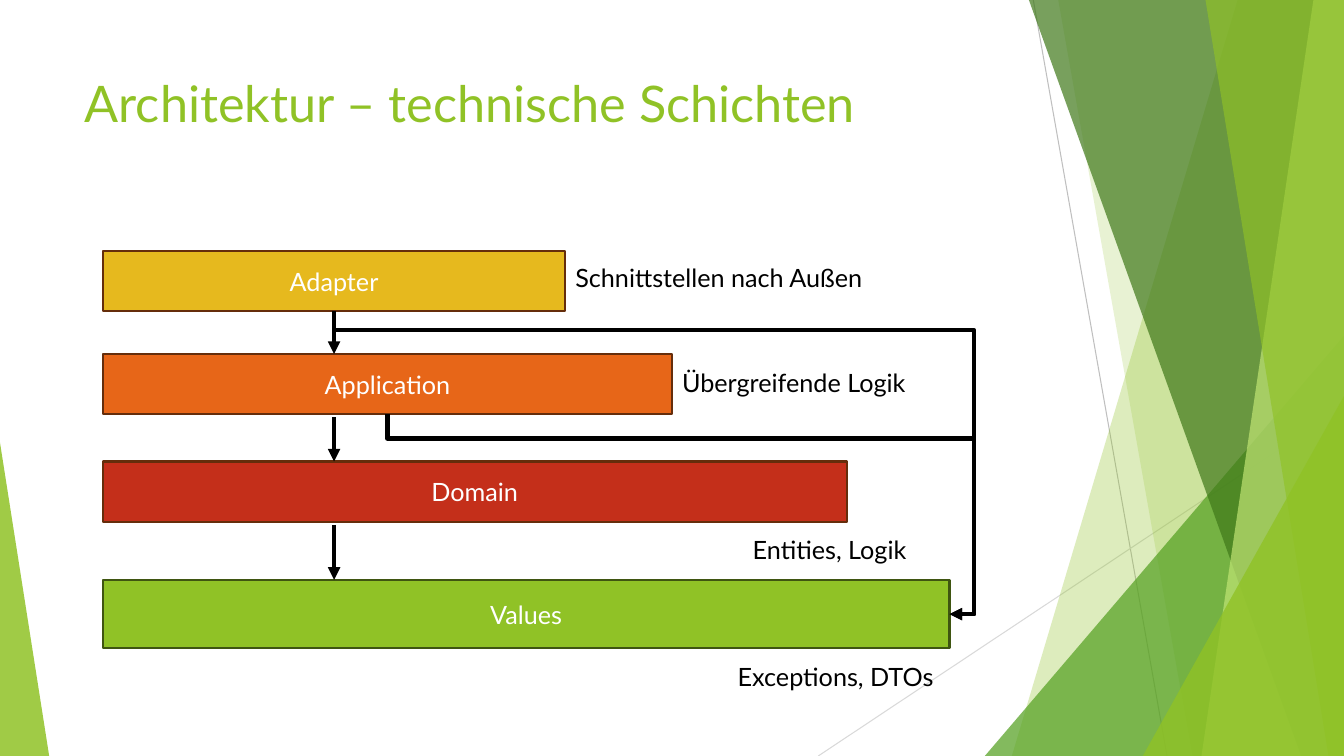
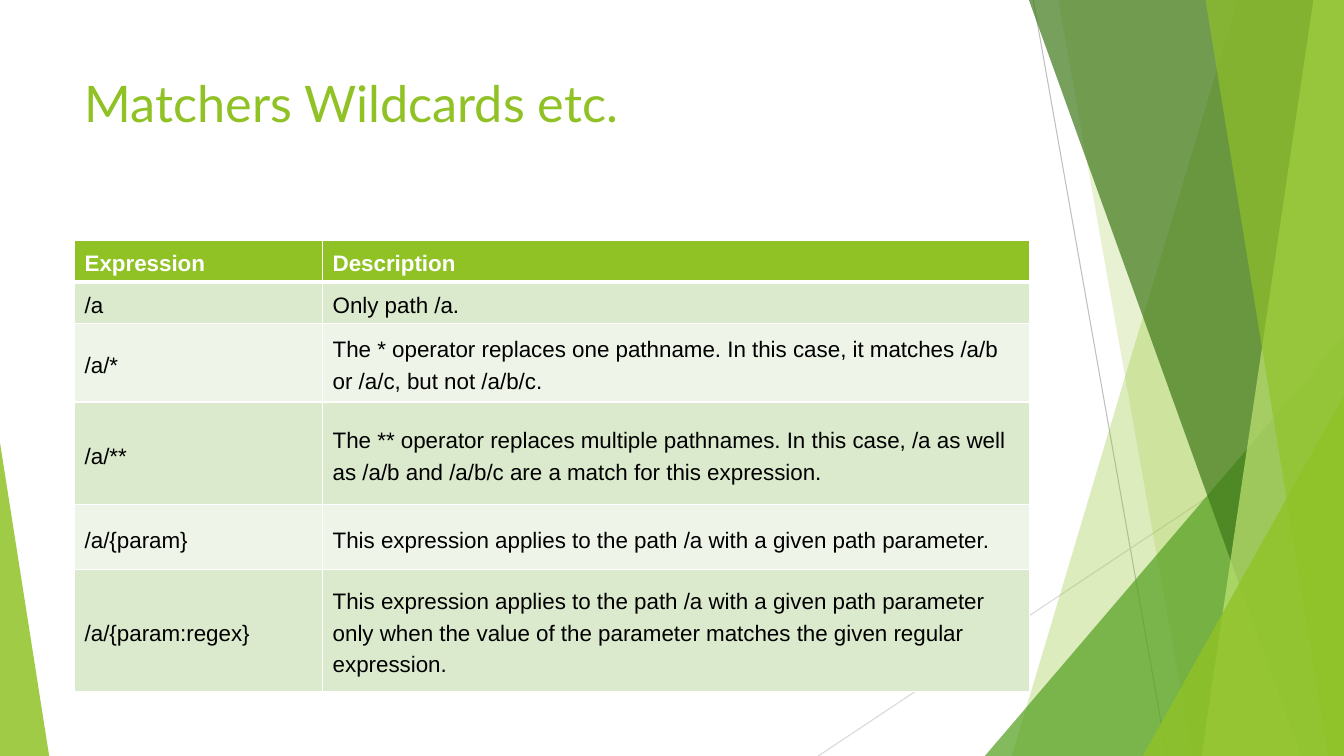
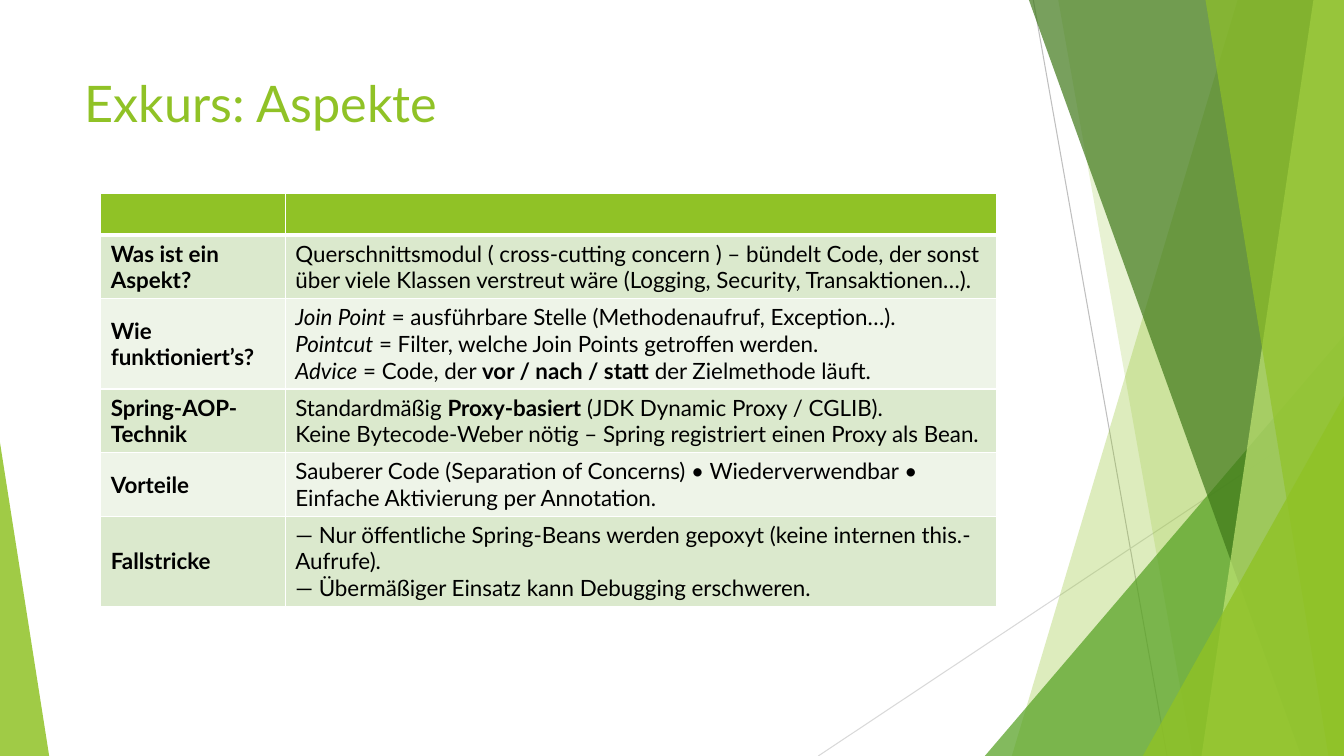
from lxml.etree import SubElement
from pptx import Presentation
from pptx.dml.color import RGBColor as Rgb
from pptx.enum.shapes import MSO_CONNECTOR as Connector, MSO_SHAPE as Preset
from pptx.enum.text import MSO_ANCHOR as Anchor, MSO_AUTO_SIZE as AutoSize, PP_ALIGN as Align
from pptx.oxml.ns import qn
from pptx.util import Cm, Pt

COLORS = {
    "green": "90C226", "leaf": "54A021", "forest": "3F7819", "lime": "C0E474",
    "olive": "3F5511", "brown": "652D0B", "red": "C42F1A", "orange": "E76618",
    "yellow": "E6B91E", "band": "DBE9CD", "pale": "EEF4E8",
    "silver": "BFBFBF", "mist": "D9D9D9", "white": "FFFFFF", "black": "000000",
}
WIDTH, HEIGHT = 33.87, 19.05
TITLE_FONT = {"name": "Lato", "size": Pt(36)}
DIAGRAM_FONT = {"name": "Lato", "size": Pt(18)}
BOLD, ITALIC = {"bold": True}, {"italic": True}

RAYS = [
    ("silver", (26.04, 0), (29.41, HEIGHT)),
    ("mist", (WIDTH, 10.24), (20.62, HEIGHT)),
]
FACETS = [
    ("band", "green", 30, 31.19, 25.5),
    ("band", "green", 20, 26.67, 30.05),
    ("wedge", "leaf", 72, (24.82, 8.46, 9.05), 1),
    ("band", "forest", 70, 25.93, 32.79),
    ("band", "lime", 70, 33.1, 30.28),
    ("band", "green", 65, 30.38, 33.48),
    ("wedge", "green", 80, (28.8, 9.98, 5.07), 1),
    ("wedge", "green", 85, (0, 11.15, 1.24), 0),
]

LAYERS = [
    ("Adapter", "yellow", "brown", (0, 11.66, 1.52), "Schnittstellen nach Außen", (11.66, 0.16, 8.69)),
    ("Application", "orange", "brown", (2.6, 14.35, 1.52), "Übergreifende Logik", (14.35, 2.8, 6.71)),
    ("Domain", "red", "brown", (5.31, 18.75, 1.52), "Entities, Logik", (16.13, 7.02, 5.56)),
    ("Values", "green", "olive", (8.29, 21.34, 1.73), "Exceptions, DTOs", (15.75, 10.22, 5.94)),
]

MATCHERS = [
    ("Expression", "Description"),
    ("/a", "Only path /a."),
    ("/a/*", "The * operator replaces one pathname. In this case, it matches /a/b or /a/c, but not /a/b/c."),
    ("/a/**", "The ** operator replaces multiple pathnames. In this case, /a as well as /a/b and /a/b/c "
              "are a match for this expression."),
    ("/a/{param}", "This expression applies to the path /a with a given path parameter."),
    ("/a/{param:regex}", "This expression applies to the path /a with a given path parameter only when "
                         "the value of the parameter matches the given regular expression."),
]

ASPECTS = [
    ("", ""),
    ("Was ist ein Aspekt?",
     "Querschnittsmodul ( cross-cutting concern ) – bündelt Code, der sonst über viele Klassen "
     "verstreut wäre (Logging, Security, Transaktionen…)."),
    ("Wie funktioniert’s?", [
        ("Join Point", ITALIC), (" = ausführbare Stelle (Methodenaufruf, Exception…).\n", {}),
        ("Pointcut", ITALIC), (" = Filter, welche Join Points getroffen werden.\n", {}),
        ("Advice", ITALIC), (" = Code, der ", {}), ("vor / nach / statt", BOLD),
        (" der Zielmethode läuft.", {})]),
    ("Spring-AOP-Technik", [
        ("Standardmäßig ", {}), ("Proxy-basiert", BOLD),
        (" (JDK Dynamic Proxy / CGLIB).\n"
         "Keine Bytecode-Weber nötig – Spring registriert einen Proxy als Bean.", {})]),
    ("Vorteile",
     "Sauberer Code (Separation of Concerns) • Wiederverwendbar • Einfache Aktivierung per Annotation."),
    ("Fallstricke",
     "— Nur öffentliche Spring-Beans werden gepoxyt (keine internen this.-Aufrufe).\n"
     "— Übermäßiger Einsatz kann Debugging erschweren."),
]


def rgb(color):
    return Rgb.from_string(COLORS[color])


def set_all(target, values):
    for name, value in values.items():
        setattr(target, name, value)


def paint(shape, color, edge=None, alpha=None):
    shape.shadow.inherit = False
    shape.fill.solid()
    shape.fill.fore_color.rgb = rgb(color)
    if edge:
        shape.line.color.rgb = rgb(edge)
        shape.line.width = Pt(1.5)
    else:
        shape.line.fill.background()
    if alpha:
        tint = shape.element.spPr.find(".//" + qn("a:srgbClr"))
        SubElement(tint, qn("a:alpha")).set("val", str(alpha * 1000))


def write(para, content, font, color):
    spans = [(content, {})] if isinstance(content, str) else content
    for text, emphasis in spans:
        for index, line in enumerate(text.split("\n")):
            if index:
                para.add_line_break()
            if line:
                span = para.add_run()
                span.text = line
                set_all(span.font, {**font, **emphasis})
                span.font.color.rgb = rgb(color)


def add_line(shapes, start, end, color, width, arrow=False):
    line = shapes.add_connector(Connector.STRAIGHT, *map(Cm, start + end))
    line.line.color.rgb = rgb(color)
    line.line.width = Pt(width)
    properties = line.element.spPr
    if arrow:
        SubElement(properties.find(qn("a:ln")), qn("a:tailEnd")).set("type", "triangle")
    SubElement(properties, qn("a:effectLst"))
    return line


def add_detour(shapes, start, end, drop, lane):
    across, down = end[0] - start[0], end[1] - start[1]
    left = (start[0] + end[0] - down) / 2
    top = (start[1] + end[1] - across) / 2
    line = add_line(shapes, (left, top), (left + down, top + across), "black", 3, True)
    properties = line.element.spPr
    frame = properties.find(qn("a:xfrm"))
    frame.set("rot", "16200000")
    frame.set("flipH", "1")
    geometry = properties.find(qn("a:prstGeom"))
    geometry.set("prst", "bentConnector4")
    guides = geometry.find(qn("a:avLst"))
    for name, share in (("adj1", drop / down), ("adj2", (lane - start[0]) / across)):
        guide = SubElement(guides, qn("a:gd"))
        guide.set("name", name)
        guide.set("fmla", f"val {round(share * 100000)}")


def add_band(shapes, top_x, bottom_x):
    outline = shapes.build_freeform(Cm(top_x), Cm(0))
    corners = [(WIDTH, 0), (WIDTH, HEIGHT), (bottom_x, HEIGHT)]
    outline.add_line_segments([(Cm(x), Cm(y)) for x, y in corners], close=True)
    return outline.convert_to_shape()


def add_wedge(shapes, box, peak):
    left, top, width = box
    wedge = shapes.add_shape(Preset.ISOSCELES_TRIANGLE, Cm(left), Cm(top), Cm(width), Cm(HEIGHT - top))
    wedge.adjustments[0] = peak
    return wedge


def add_backdrop(page, layout):
    group = page.shapes.add_group_shape()
    for color, start, end in RAYS:
        add_line(group.shapes, start, end, color, 0.75)
    makers = {"band": add_band, "wedge": add_wedge}
    for kind, color, alpha, *outline in FACETS:
        paint(makers[kind](group.shapes, *outline), color, alpha=alpha)
    for holder in list(layout.placeholders):
        if holder.placeholder_format.idx:
            layout.shapes.element.remove(holder.element)
    layout.shapes.element.insert(2, group.element)


def add_title(page, text, height=3.66):
    title = page.shapes.title
    set_all(title, {"left": Cm(1.88), "top": Cm(1.7), "width": Cm(23.88), "height": Cm(height)})
    set_all(title.text_frame, {"word_wrap": True, "auto_size": AutoSize.NONE, "vertical_anchor": Anchor.TOP})
    para = title.text_frame.paragraphs[0]
    para.alignment = Align.LEFT
    write(para, text, TITLE_FONT, "green")


def add_layers(page, left, top):
    shapes = page.shapes
    for name, color, edge, (offset, width, height), note, (x, y, note_width) in LAYERS:
        box = shapes.add_shape(Preset.RECTANGLE, Cm(left), Cm(top + offset), Cm(width), Cm(height))
        paint(box, color, edge)
        box.text_frame.vertical_anchor = Anchor.MIDDLE
        para = box.text_frame.paragraphs[0]
        para.alignment = Align.CENTER
        write(para, name, DIAGRAM_FONT, "white")
        label = shapes.add_textbox(Cm(left + x), Cm(top + y), Cm(note_width), Cm(1.03))
        label.text_frame.word_wrap = True
        write(label.text_frame.paragraphs[0], note, DIAGRAM_FONT, "black")

    places = [layer[3] for layer in LAYERS]
    stem = left + places[0][1] / 2
    for (upper, _, height), (lower, _, _), gap in zip(places, places[1:], (0, 0.08, 0.08)):
        add_line(shapes, (stem, top + upper + height + gap), (stem, top + lower), "black", 3, True)

    offset, width, height = places[-1]
    target = (left + width, top + offset + height / 2)
    for (offset, width, height), drop in ((places[1], 0.61), (places[0], 0.48)):
        start = (left + width / 2, top + offset + height)
        add_detour(shapes, start, target, drop, target[0] + 0.62)


def add_borders(cell, widths):
    properties = cell._tc.get_or_add_tcPr()
    for side, width in widths.items():
        edge = SubElement(properties, qn("a:ln" + side))
        edge.set("w", str(Pt(width)))
        fill = SubElement(edge, qn("a:solidFill"))
        SubElement(fill, qn("a:srgbClr")).set("val", COLORS["white"])


def add_grid(page, left, top, columns, heights, rows, font, spacing=None, bold_labels=False):
    frame = page.shapes.add_table(len(rows), len(columns), Cm(left), Cm(top),
                                  Cm(sum(columns)), Cm(sum(heights)))
    table = frame.table
    for column, width in zip(table.columns, columns):
        column.width = Cm(width)
    for row, height in zip(table.rows, heights):
        row.height = Cm(height)
    for y, row in enumerate(rows):
        fill = ("pale", "band")[y % 2] if y else "green"
        for x, content in enumerate(row):
            cell = table.cell(y, x)
            add_borders(cell, {"L": 1, "R": 1, "T": 3 if y == 1 else 1, "B": 1 if y else 3})
            cell.fill.solid()
            cell.fill.fore_color.rgb = rgb(fill)
            cell.vertical_anchor = Anchor.MIDDLE
            para = cell.text_frame.paragraphs[0]
            para.line_spacing = spacing
            bold = y == 0 or (bold_labels and x == 0)
            write(para, content, {**font, "bold": bold}, "black" if y else "white")


def main():
    deck = Presentation()
    set_all(deck, {"slide_width": Cm(WIDTH), "slide_height": Cm(HEIGHT)})
    layout = deck.slide_layouts[5]
    layers, matchers, aspects = [deck.slides.add_slide(layout) for _ in range(3)]
    add_backdrop(layers, layout)

    add_title(layers, "Architektur – technische Schichten", 2.67)
    add_layers(layers, 2.59, 6.32)

    add_title(matchers, "Matchers Wildcards etc.")
    add_grid(matchers, 1.88, 6.05, (6.25, 17.81), (0.97, 0.97, 1.98, 2.59, 1.63, 3.07), MATCHERS,
             {"name": "Arial", "size": Pt(16)}, spacing=Pt(22.5))

    add_title(aspects, "Exkurs: Aspekte")
    add_grid(aspects, 2.54, 4.88, (4.65, 17.93), [1.04] * len(ASPECTS), ASPECTS,
             {"name": "Lato", "size": Pt(16)}, bold_labels=True)

    deck.save("out.pptx")


if __name__ == "__main__":
    main()
